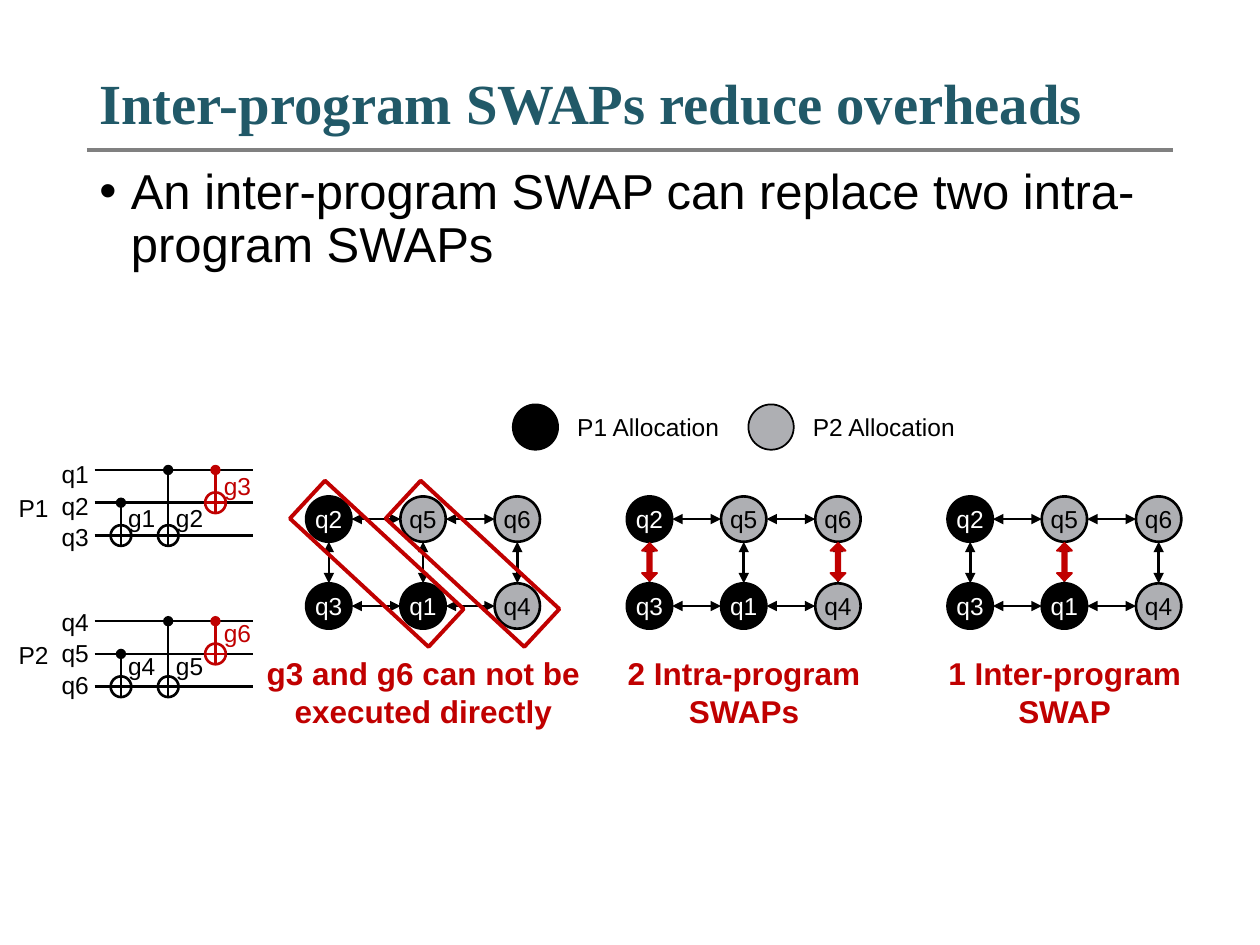
import dataclasses
import lxml.etree
import pptx
import pptx.dml.color
import pptx.enum.shapes
import pptx.enum.text
import pptx.oxml.ns
import pptx.util


@dataclasses.dataclass(frozen=True)
class Theme:
    heading: str = "215968"
    rule: str = "808080"
    ink: str = "000000"
    paper: str = "FFFFFF"
    second: str = "AEAFB3"
    alert: str = "C00000"
    heading_font: str = "Times New Roman"
    body_font: str = "Arial"
    heading_size: float = 32.4
    body_size: float = 28
    caption_size: float = 18
    label_size: float = 14
    thin: float = 1
    medium: float = 1.5
    thick: float = 2.25


theme = Theme()
qn = pptx.oxml.ns.qn
rgb = pptx.dml.color.RGBColor.from_string
Pt = pptx.util.Pt
Shapes = pptx.enum.shapes.MSO_SHAPE
Anchor = pptx.enum.text.MSO_ANCHOR
Align = pptx.enum.text.PP_ALIGN

presentation = pptx.Presentation()
presentation.slide_width = pptx.util.Inches(10)
presentation.slide_height = pptx.util.Inches(7.5)
column = presentation.slide_width / 100
row = presentation.slide_height / 75
slide = presentation.slides.add_slide(presentation.slide_layouts[6])


def add_box(left, top, width, height, texts=(), kind=None, fill=None, outline=None,
            weight=theme.medium, size=theme.label_size, color=theme.ink, bold=False,
            font=theme.body_font, align=Align.CENTER, anchor=Anchor.TOP, spacing=None, inset=False):
    place = [round(value) for value in (left * column, top * row, width * column, height * row)]
    if kind is None:
        shape = slide.shapes.add_textbox(*place)
    else:
        shape = slide.shapes.add_shape(kind, *place)
        shape.shadow.inherit = False
        if fill:
            shape.fill.solid()
            shape.fill.fore_color.rgb = rgb(fill)
        else:
            shape.fill.background()
        shape.line.color.rgb = rgb(outline)
        shape.line.width = Pt(weight)
    frame = shape.text_frame
    frame.word_wrap = True
    frame.vertical_anchor = anchor
    if not inset:
        frame.margin_left = frame.margin_right = frame.margin_top = frame.margin_bottom = 0
    for index, text in enumerate(texts):
        paragraph = frame.add_paragraph() if index else frame.paragraphs[0]
        paragraph.alignment = align
        if spacing:
            paragraph.line_spacing = spacing
        run = paragraph.add_run()
        run.text = text
        run.font.name = font
        run.font.size = Pt(size)
        run.font.bold = bold
        run.font.color.rgb = rgb(color)
    return shape


def add_line(x1, y1, x2, y2, color=theme.ink, weight=theme.medium, head=None, tail=None):
    ends = [round(value) for value in (x1 * column, y1 * row, x2 * column, y2 * row)]
    connector = slide.shapes.add_connector(pptx.enum.shapes.MSO_CONNECTOR.STRAIGHT, *ends)
    connector.line.color.rgb = rgb(color)
    connector.line.width = Pt(weight)
    properties = connector.element.spPr
    for tag, end in (("a:headEnd", head), ("a:tailEnd", tail)):
        if end:
            lxml.etree.SubElement(properties.find(qn("a:ln")), qn(tag), type=end)
    lxml.etree.SubElement(properties, qn("a:effectLst"))


add_line(6.9, 11.9, 93.1, 11.9, theme.rule, theme.thick)
add_box(6.9, 4.9, 86.2, 7, ["Inter-program SWAPs reduce overheads"], size=theme.heading_size,
        color=theme.heading, bold=True, font=theme.heading_font, align=Align.LEFT,
        anchor=Anchor.MIDDLE, spacing=0.9, inset=True)
body = add_box(6.9, 12.8, 86.2, 54.8, ["An inter-program SWAP can replace two intra-program SWAPs"],
               size=theme.body_size, align=Align.LEFT, spacing=0.9, inset=True)
bullet_properties = body.text_frame.paragraphs[0]._p.get_or_add_pPr()
bullet_properties.set("marL", str(round(2.5 * column)))
bullet_properties.set("indent", str(round(-2.5 * column)))
lxml.etree.SubElement(bullet_properties, qn("a:buFont"), typeface=theme.body_font)
lxml.etree.SubElement(bullet_properties, qn("a:buChar"), char="•")

node_size = 3.6
for legend_left, legend_text, legend_fill in ((40.7, "P1 Allocation", theme.ink),
                                              (59.4, "P2 Allocation", theme.second)):
    add_box(legend_left, 32.1, node_size, node_size, kind=Shapes.OVAL, fill=legend_fill,
            outline=theme.ink, weight=theme.thin)
    add_box(legend_left + 3.9, 32.7, 13.7, 2.4, [legend_text])

wire_pitch, gate_pitch, target_radius = 2.6, 3.75, 0.82
gate_wires = ((1, 2, theme.ink), (0, 2, theme.ink), (0, 1, theme.alert))
circuits = (
    ("P1", 37.3, 35.8, ("q1", "q2", "q3"), ("g1", "g2", "g3")),
    ("P2", 49.3, 47.5, ("q4", "q5", "q6"), ("g4", "g5", "g6")),
)
for program, wire_top, names_top, qubits, gates in circuits:
    for left, top, height, names in ((3.9, names_top, 8.4, qubits),
                                     (0.5, names_top + 2.65, 3.4, [program])):
        add_box(left, top, 5.6, height, names, align=Align.LEFT, spacing=Pt(18), inset=True)
    for wire in range(3):
        wire_y = wire_top + wire * wire_pitch
        add_line(7.5, wire_y, 20.1, wire_y)
    for index, (gate, (control, target, color)) in enumerate(zip(gates, gate_wires)):
        x = 9.6 + index * gate_pitch
        y = wire_top + target * wire_pitch
        add_line(x, wire_top + control * wire_pitch, x, y, color, head="oval")
        add_box(x - target_radius, y - target_radius, 2 * target_radius, 2 * target_radius,
                kind=Shapes.OVAL, outline=color)
        add_line(x, y - target_radius, x, y + target_radius, color)
        add_line(x - target_radius, y, x + target_radius, y, color)
        add_box(9.9 + index * 3.8, names_top + 1.55 + (target - 1) * wire_pitch, 2.7, 2.4,
                [gate], color=color)

node_pitch, node_top, node_drop = 7.48, 39.4, 6.9
node_rows = (("q2", "q5", "q6"), ("q3", "q1", "q4"))
first_program = circuits[0][3]
devices = (
    (["g3 and g6 can not be executed directly"], ()),
    (["2 Intra-program SWAPs"], (0, 2)),
    (["1 Inter-program", "SWAP"], (1,)),
)
for device, (caption, swap_columns) in enumerate(devices):
    device_left = 24.3 + device * 25.45
    add_box(device_left - 5.05, 51.4, 28.7, 7.1, caption, size=theme.caption_size,
            color=theme.alert, bold=True, inset=True)
    for level, names in enumerate(node_rows):
        y = node_top + level * node_drop
        for index, name in enumerate(names):
            x = device_left + index * node_pitch
            owned = name in first_program
            add_box(x, y, node_size, node_size, [name], kind=Shapes.OVAL,
                    fill=theme.ink if owned else theme.second, outline=theme.ink,
                    color=theme.paper if owned else theme.ink, anchor=Anchor.MIDDLE)
            middle_x, middle_y = x + node_size / 2, y + node_size / 2
            if index < 2:
                add_line(x + node_size, middle_y, x + node_pitch, middle_y,
                         head="triangle", tail="triangle")
            if level == 0:
                add_line(middle_x, y + node_size, middle_x, y + node_drop,
                         head="triangle", tail="triangle")
    for index in swap_columns:
        arrow = add_box(device_left + index * node_pitch + 0.3, 44, 3, 1.2,
                        kind=Shapes.LEFT_RIGHT_ARROW, fill=theme.alert, outline=theme.alert,
                        weight=theme.thin)
        arrow.rotation = 90
        arrow.adjustments[0] = 0.29
        arrow.adjustments[1] = 0.51

for frame_left in (22.4, 30):
    pair_frame = add_box(frame_left, 42.7, 15, 4.1, kind=Shapes.RECTANGLE,
                         outline=theme.alert, weight=theme.thick)
    pair_frame.rotation = 42.8

presentation.save("out.pptx")
